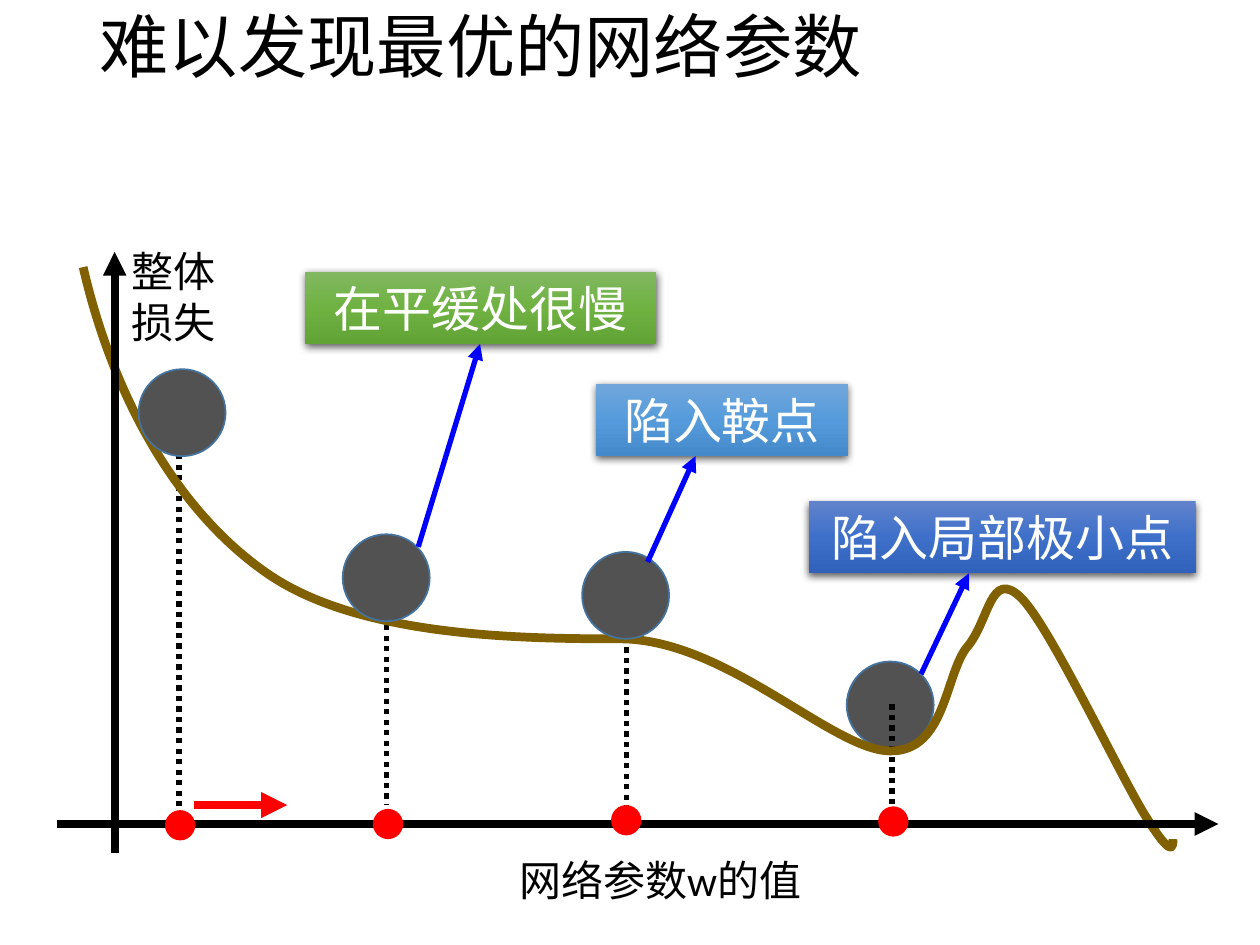
from copy import deepcopy

from lxml.etree import SubElement
from pptx import Presentation
from pptx.dml.color import RGBColor
from pptx.enum.dml import MSO_LINE
from pptx.enum.shapes import MSO_CONNECTOR, MSO_SHAPE
from pptx.enum.text import MSO_ANCHOR, MSO_AUTO_SIZE, PP_ALIGN
from pptx.oxml.ns import qn
from pptx.util import Inches, Pt

COLUMNS, ROWS = 100, 75
CELL = Inches(10) / COLUMNS
FONT = "Calibri"
COLORS = {
    "ink": "000000", "white": "FFFFFF", "ball": "525252", "ball_edge": "43739E",
    "curve": "806000", "marker": "FF0000", "pointer": "0000FF",
}
GREEN = ("81B861", "6FB242", "62A336")
SKY = ("71A6DB", "559BDB", "448ACA")
BLUE = ("6183CB", "3E70CA", "3062BB")

TITLE = ("难以发现最优的网络参数", (6.9, 0.5, 86.2, 6.9))
AXIS_LABELS = [
    ("整体损失", (8.5, 19, 10.6, 9.1)),
    ("网络参数w的值", (24, 67.3, 56.8, 5)),
]
CALLOUTS = [
    ("在平缓处很慢", (24.2, 21.6, 27.9, 5.7), GREEN),
    ("陷入局部极小点", (64.2, 39.8, 30.7, 5.7), BLUE),
    ("陷入鞍点", (47.3, 30.5, 20, 5.7), SKY),
]
AXES = [((4.5, 65.4), (96.7, 65.4)), ((9.1, 67.7), (9.1, 20))]
STEP_ARROW = ((15.4, 63.9), (22.8, 63.9))
POINTERS = [
    ((73.1, 53.5), (76.9, 45.5)),
    ((51.4, 44.6), (55.2, 36.2)),
    ((33.2, 43.4), (38.1, 27.3)),
]
DROP_LINES = [
    ((70.8, 55.9), (70.8, 63.9)),
    ((49.7, 44.7), (49.7, 64)),
    ((30.7, 44.6), (30.7, 63.9)),
    ((14.2, 32.7), (14.2, 64.2)),
]
BALL_SIZE, MARKER_SIZE = 6.9, 2.4
BALL_AT_MINIMUM = (70.65, 55.95)
BALLS_ON_CURVE = [(49.65, 47.25), (14.45, 32.75), (30.65, 45.85)]
MARKERS = [(14.3, 65.5), (30.8, 65.4), (49.7, 65.1), (70.9, 65.2)]
CURVE_START = (6.6, 21.2)
CURVE_SEGMENTS = [
    ((9, 31.6), (14.1, 40.6), (21.2, 45.5)),
    ((28.4, 50.5), (40.9, 50.7), (49.2, 50.7)),
    ((57.6, 50.7), (66, 59.5), (70.6, 59.6)),
    ((75.1, 59.7), (75, 53.4), (76.8, 51.3)),
    ((78.5, 49.3), (78.6, 45.1), (81, 47.4)),
    ((83.3, 49.6), (88.9, 61.6), (91, 64.9)),
    ((93, 68.1), (93.1, 67.3), (93.1, 66.6)),
]


def cells(values):
    return [round(value * CELL) for value in values]


def rgb(name):
    return RGBColor.from_string(COLORS.get(name, name))


def set_all(target, values):
    for name, value in values.items():
        setattr(target, name, value)


def write(shape, text, size, color, align, spacing=None):
    frame = shape.text_frame
    set_all(frame, {"word_wrap": True, "auto_size": MSO_AUTO_SIZE.NONE})
    paragraph = frame.paragraphs[0]
    set_all(paragraph, {"text": text, "alignment": align, "line_spacing": spacing})
    font = paragraph.runs[0].font
    set_all(font, {"size": Pt(size), "name": FONT})
    font.color.rgb = rgb(color)


def add_line(slide, ends, color, width, dash=None, arrow=False):
    start, end = ends
    line_shape = slide.shapes.add_connector(
        MSO_CONNECTOR.STRAIGHT, *cells(start), *cells(end))
    line = line_shape.line
    line.color.rgb = rgb(color)
    set_all(line, {"width": Pt(width), "dash_style": dash})
    properties = line_shape._element.spPr
    if arrow:
        SubElement(properties.find(qn("a:ln")), qn("a:tailEnd"), type="triangle")
    SubElement(properties, qn("a:effectLst"))


def add_disc(slide, center, size, fill, edge=None):
    left, top = (value - size / 2 for value in center)
    disc = slide.shapes.add_shape(MSO_SHAPE.OVAL, *cells((left, top, size, size)))
    disc.shadow.inherit = False
    disc.fill.solid()
    disc.fill.fore_color.rgb = rgb(fill)
    if edge:
        disc.line.color.rgb = rgb(edge)
        disc.line.width = Pt(1)
    else:
        disc.line.fill.background()


def add_curve(slide):
    builder = slide.shapes.build_freeform(*cells(CURVE_START))
    builder.add_line_segments(
        [cells(point) for segment in CURVE_SEGMENTS for point in segment], close=False)
    curve = builder.convert_to_shape()
    curve.shadow.inherit = False
    curve.fill.background()
    curve.line.color.rgb = rgb("curve")
    curve.line.width = Pt(5)
    steps = list(curve._element.iter(qn("a:lnTo")))
    outline = steps[0].getparent()
    for index in range(0, len(steps), 3):
        bezier = SubElement(outline, qn("a:cubicBezTo"))
        for step in steps[index:index + 3]:
            bezier.append(step[0])
            outline.remove(step)


def add_callout(slide, text, box, shades):
    callout = slide.shapes.add_shape(MSO_SHAPE.RECTANGLE, *cells(box))
    callout.line.fill.background()
    callout.fill.gradient()
    callout.fill.gradient_angle = 270
    properties = callout._element.spPr
    stop_list = properties.find(".//" + qn("a:gsLst"))
    stop_list.append(deepcopy(stop_list[0]))
    for stop, shade, position in zip(callout.fill.gradient_stops, shades, (0, 0.5, 1)):
        stop.color.rgb = rgb(shade)
        stop.position = position
    callout.shadow.inherit = False
    shadow = SubElement(
        properties.find(qn("a:effectLst")), qn("a:outerShdw"), blurRad=str(Pt(4.5)),
        dist=str(Pt(1.5)), dir="5400000", algn="ctr", rotWithShape="0")
    shadow_color = SubElement(shadow, qn("a:srgbClr"), val=COLORS["ink"])
    SubElement(shadow_color, qn("a:alpha"), val="63000")
    callout.text_frame.vertical_anchor = MSO_ANCHOR.TOP
    write(callout, text, 28, "white", PP_ALIGN.CENTER)


def main():
    presentation = Presentation()
    set_all(presentation, {"slide_width": round(COLUMNS * CELL),
                           "slide_height": round(ROWS * CELL)})
    slide = presentation.slides.add_slide(presentation.slide_layouts[5])

    text, box = TITLE
    title = slide.shapes.title
    set_all(title, dict(zip(("left", "top", "width", "height"), cells(box))))
    title.text_frame.vertical_anchor = MSO_ANCHOR.MIDDLE
    write(title, text, 39.6, "ink", PP_ALIGN.LEFT, 0.9)

    add_disc(slide, BALL_AT_MINIMUM, BALL_SIZE, "ball", "ball_edge")
    for ends in DROP_LINES:
        add_line(slide, ends, "ink", 3, dash=MSO_LINE.ROUND_DOT)
    add_line(slide, STEP_ARROW, "marker", 5, arrow=True)
    add_curve(slide)
    for ends in AXES:
        add_line(slide, ends, "ink", 4.5, arrow=True)
    for text, box in AXIS_LABELS:
        write(slide.shapes.add_textbox(*cells(box)), text, 24, "ink", PP_ALIGN.CENTER)
    for center in BALLS_ON_CURVE:
        add_disc(slide, center, BALL_SIZE, "ball", "ball_edge")
    for callout in CALLOUTS:
        add_callout(slide, *callout)
    for ends in POINTERS:
        add_line(slide, ends, "pointer", 3, arrow=True)
    for center in MARKERS:
        add_disc(slide, center, MARKER_SIZE, "marker")

    presentation.save("out.pptx")


if __name__ == "__main__":
    main()
